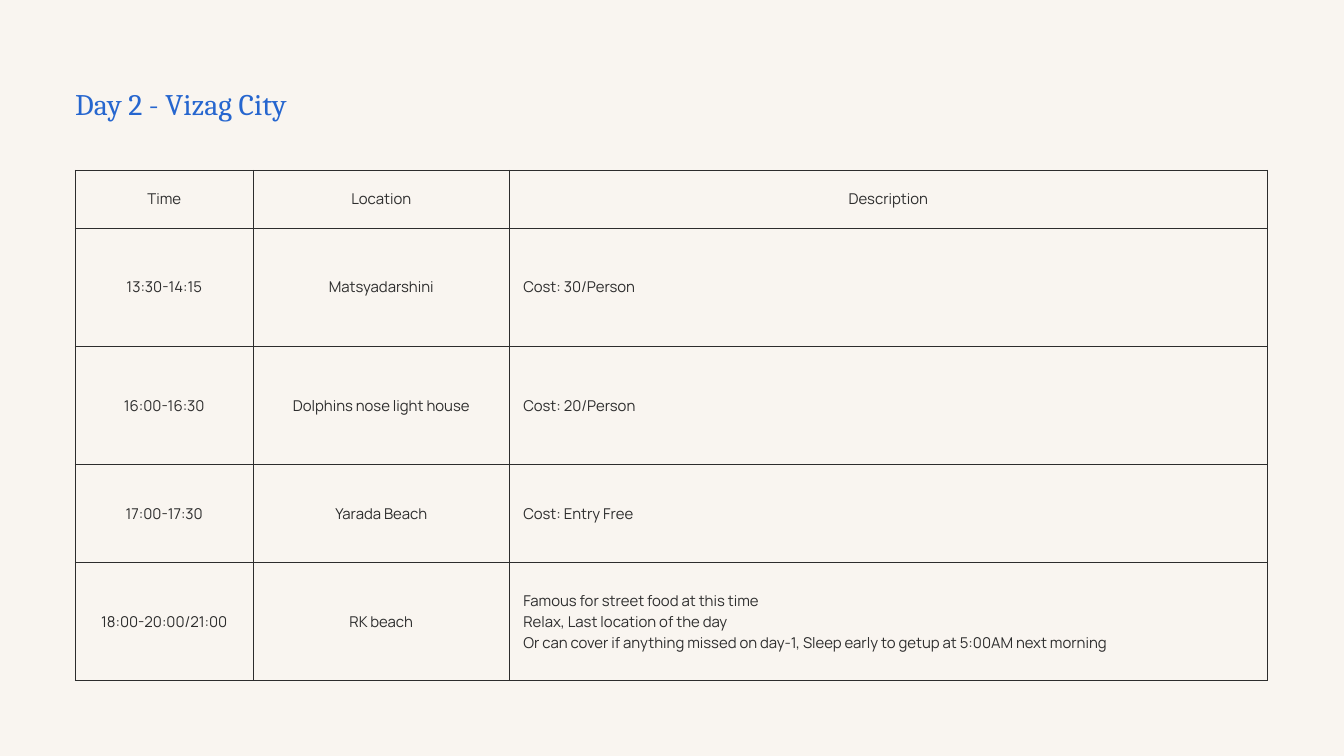
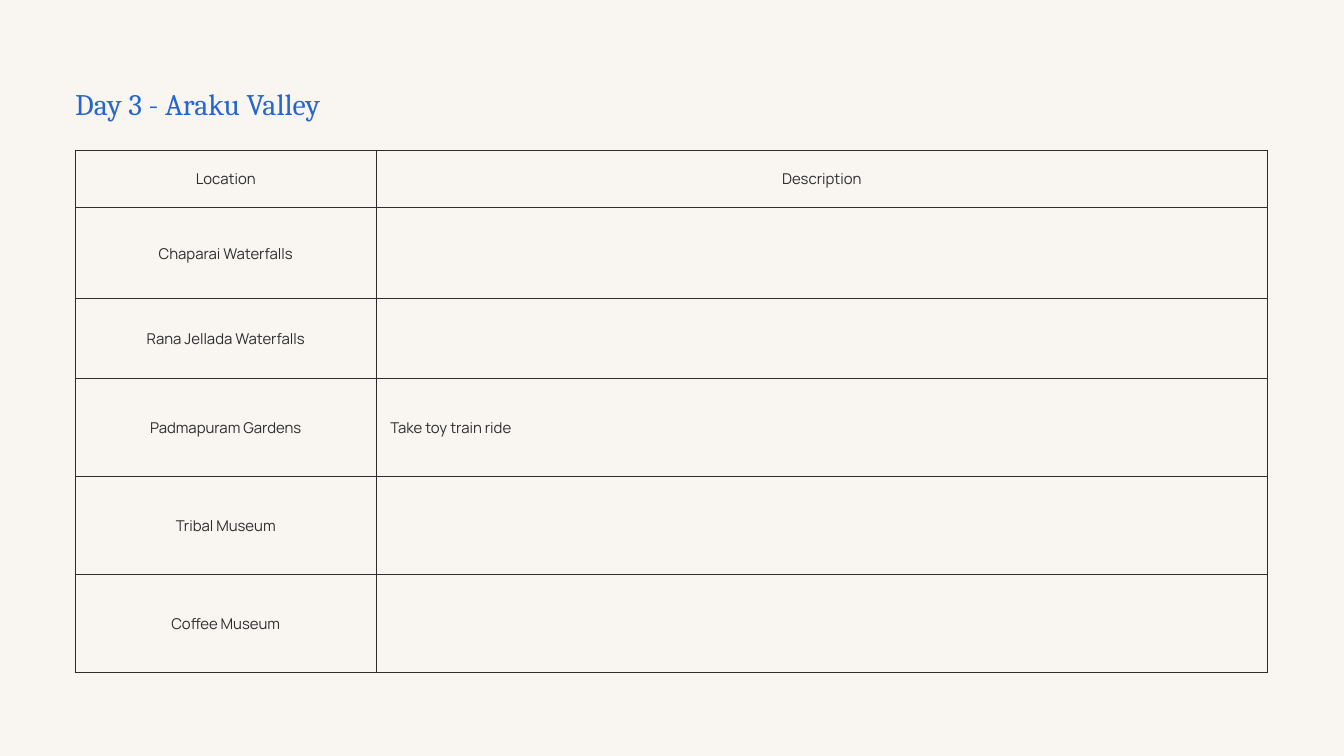
import pptx
import pptx.util
import pptx.dml.color
import pptx.enum.text
import pptx.oxml
import pptx.oxml.ns

Pt = pptx.util.Pt
ALIGN = pptx.enum.text.PP_ALIGN

COLOURS = {"background": "F9F5F0", "ink": "2D2D2D", "title": "2666CF"}
LEFT = 80.6
TITLE_TOP, TITLE_WIDTH, TITLE_HEIGHT = 85, 301, 42.5
BORDER_WIDTH = 0.75

TITLE_FONT = {"name": "Cambria", "size": Pt(32)}
BODY_FONT = {"name": "Manrope", "size": Pt(16)}
TITLE_FRAME = {
    "margin_left": 0, "margin_right": 0, "margin_top": 0, "margin_bottom": 0,
    "word_wrap": True,
    "auto_size": pptx.enum.text.MSO_AUTO_SIZE.SHAPE_TO_FIT_TEXT,
}
CELL_FORMAT = {
    "margin_left": Pt(15), "margin_right": Pt(15),
    "margin_top": Pt(15), "margin_bottom": Pt(15),
    "vertical_anchor": pptx.enum.text.MSO_ANCHOR.MIDDLE,
}
TABLE_FLAGS = {"first_row": False, "horz_banding": False}

DAYS = [
    {
        "title": "Day 2 - Vizag City",
        "top": 182.2,
        "widths": [190.8, 274.3, 812.2],
        "heights": [61.9, 126.7, 126.7, 105.1, 126.7],
        "plan": [
            ["Time", "Location", "Description"],
            ["13:30-14:15", "Matsyadarshini", "Cost: 30/Person"],
            ["16:00-16:30", "Dolphins nose light house", "Cost: 20/Person"],
            ["17:00-17:30", "Yarada Beach", "Cost: Entry Free"],
            ["18:00-20:00/21:00", "RK beach",
             "Famous for street food at this time\n"
             "Relax, Last location of the day\n"
             "Or can cover if anything missed on day-1, "
             "Sleep early to getup at 5:00AM next morning"],
        ],
    },
    {
        "title": "Day 3 - Araku Valley",
        "top": 160.6,
        "widths": [322.6, 954.7],
        "heights": [61.9, 97.2, 85.7, 105.1, 105.1, 105.1],
        "plan": [
            ["Location", "Description"],
            ["Chaparai Waterfalls", ""],
            ["Rana Jellada Waterfalls", ""],
            ["Padmapuram Gardens", "Take toy train ride"],
            ["Tribal Museum", ""],
            ["Coffee Museum", ""],
        ],
    },
]


def write(frame, text, font, colour, spacing, alignment):
    frame.text = text
    for paragraph in frame.paragraphs:
        paragraph.line_spacing = Pt(spacing)
        paragraph.alignment = alignment
        for key, value in font.items():
            setattr(paragraph.font, key, value)
        paragraph.font.color.rgb = pptx.dml.color.RGBColor.from_string(COLOURS[colour])
        for run in paragraph.runs:
            for key, value in font.items():
                setattr(run.font, key, value)
            run.font.color.rgb = pptx.dml.color.RGBColor.from_string(COLOURS[colour])


def add_borders(cell):
    properties = cell._tc.get_or_add_tcPr()
    for position, side in enumerate(("lnL", "lnR", "lnT", "lnB")):
        properties.insert(position, pptx.oxml.parse_xml(
            f'<a:{side} {pptx.oxml.ns.nsdecls("a")} w="{Pt(BORDER_WIDTH)}">'
            f'<a:solidFill><a:srgbClr val="{COLOURS["ink"]}"/></a:solidFill></a:{side}>'))


deck = pptx.Presentation()
deck.slide_width, deck.slide_height = Pt(1440), Pt(810)

for day in DAYS:
    slide = deck.slides.add_slide(deck.slide_layouts[6])
    slide.background.fill.solid()
    slide.background.fill.fore_color.rgb = pptx.dml.color.RGBColor.from_string(
        COLOURS["background"])

    schedule = slide.shapes.add_table(
        len(day["heights"]), len(day["widths"]), Pt(LEFT), Pt(day["top"]),
        Pt(sum(day["widths"])), Pt(sum(day["heights"]))).table
    for key, value in TABLE_FLAGS.items():
        setattr(schedule, key, value)
    for column, width in zip(schedule.columns, day["widths"]):
        column.width = Pt(width)
    for row, height in zip(schedule.rows, day["heights"]):
        row.height = Pt(height)

    for r, entries in enumerate(day["plan"]):
        for c, entry in enumerate(entries):
            cell = schedule.cell(r, c)
            for key, value in CELL_FORMAT.items():
                setattr(cell, key, value)
            cell.fill.background()
            add_borders(cell)
            is_detail = r > 0 and c == len(entries) - 1
            write(cell.text_frame, entry, BODY_FONT, "ink", 22.4,
                  ALIGN.LEFT if is_detail else ALIGN.CENTER)

    heading = slide.shapes.add_textbox(
        Pt(LEFT), Pt(TITLE_TOP), Pt(TITLE_WIDTH), Pt(TITLE_HEIGHT)).text_frame
    for key, value in TITLE_FRAME.items():
        setattr(heading, key, value)
    write(heading, day["title"], TITLE_FONT, "title", 44.8, ALIGN.LEFT)

deck.save("out.pptx")
